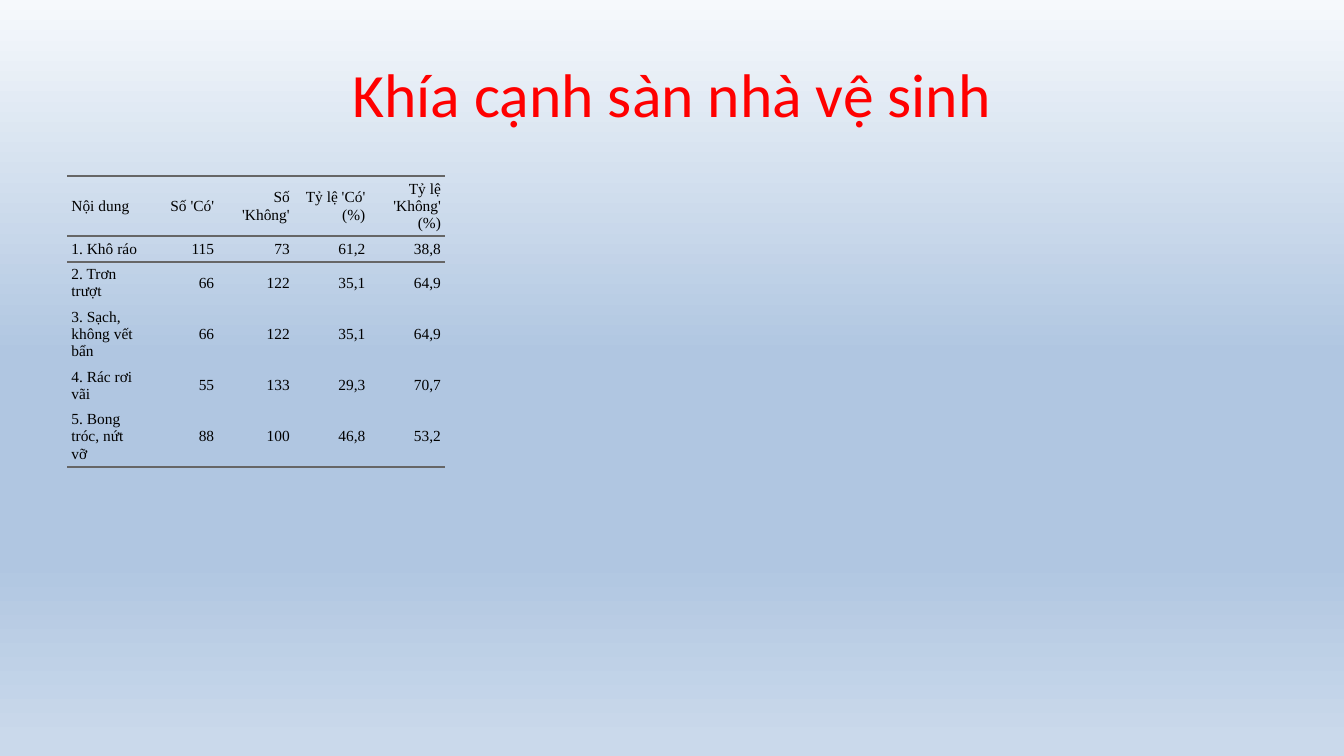
"""Build a survey slide with a title and a table about toilet floors."""
import copy

import lxml.etree
import pptx
import pptx.dml.color
import pptx.enum.text
import pptx.oxml.ns
import pptx.util

Pt = pptx.util.Pt
RGBColor = pptx.dml.color.RGBColor
ALIGN = pptx.enum.text.PP_ALIGN
MIDDLE = pptx.enum.text.MSO_ANCHOR.MIDDLE
qn = pptx.oxml.ns.qn

RED = RGBColor(0xFF, 0x00, 0x00)
BLACK = RGBColor(0x00, 0x00, 0x00)
GRAY = RGBColor(0x66, 0x66, 0x66)
PALE = RGBColor(0xF6, 0xF9, 0xFC)
BLUE = RGBColor(0xB0, 0xC6, 0xE1)
LIGHT_BLUE = RGBColor(0xCA, 0xD9, 0xEB)
BACKGROUND_STOPS = [(0, PALE), (0.47, BLUE), (0.74, BLUE), (0.98, LIGHT_BLUE)]
PLAIN_TABLE_STYLE = "{2D5ABB26-0587-4C30-8999-92F81FD0307C}"

FLOOR_ROWS = [
    ("Nội dung", "Số 'Có'", "Số 'Không'", "Tỷ lệ 'Có' (%)", "Tỷ lệ 'Không' (%)"),
    ("1. Khô ráo", "115", "73", "61,2", "38,8"),
    ("2. Trơn trượt", "66", "122", "35,1", "64,9"),
    ("3. Sạch, không vết bẩn", "66", "122", "35,1", "64,9"),
    ("4. Rác rơi vãi", "55", "133", "29,3", "70,7"),
    ("5. Bong tróc, nứt vỡ", "88", "100", "46,8", "53,2"),
]


class SurveySlide:
    """Hold the style and the current slide."""

    title_font, title_size = "Calibri", Pt(44)
    table_font, table_size = "Times New Roman", Pt(11)
    padding = Pt(3)
    rule_width = Pt(1.5)

    def __init__(self, deck):
        self.page = deck.slides.add_slide(deck.slide_layouts[5])

    def background(self, stops):
        fill = self.page.background.fill
        fill.gradient()
        fill.gradient_angle = 270
        stop_list = self.page.element.find(".//" + qn("a:gsLst"))
        while len(stop_list) < len(stops):
            stop_list.append(copy.deepcopy(stop_list[0]))
        for stop, (position, color) in zip(fill.gradient_stops, stops):
            stop.position = position
            stop.color.rgb = color

    def title(self, text, left, top, width, height):
        box = self.page.shapes.title
        box.left, box.top, box.width, box.height = left, top, width, height
        box.text_frame.text = text
        box.text_frame.vertical_anchor = MIDDLE
        para = box.text_frame.paragraphs[0]
        para.alignment = ALIGN.CENTER
        self.font(para, self.title_font, self.title_size, RED)

    def font(self, para, name, size, color):
        para.font.name = name
        para.font.size = size
        para.font.color.rgb = color

    def table(self, rows, left, top, width, height, column_width, row_height):
        frame = self.page.shapes.add_table(
            len(rows), len(rows[0]), left, top, width, height)
        table = frame.table
        table.first_row = table.horz_banding = False
        frame._element.find(".//" + qn("a:tableStyleId")).text = PLAIN_TABLE_STYLE
        for column in table.columns:
            column.width = column_width
        for row in table.rows:
            row.height = row_height
        frame.width, frame.height = width, height
        for row_number, row in enumerate(rows):
            edges = {0: ["a:lnT", "a:lnB"], 1: ["a:lnT"],
                     len(rows) - 1: ["a:lnB"]}.get(row_number, [])
            for column_number, text in enumerate(row):
                align = ALIGN.RIGHT if column_number else ALIGN.LEFT
                self.cell(table.cell(row_number, column_number), text, align, edges)

    def cell(self, cell, text, align, edges):
        cell.text = text
        cell.vertical_anchor = MIDDLE
        cell.margin_left = cell.margin_right = 0
        cell.margin_top = cell.margin_bottom = self.padding
        para = cell.text_frame.paragraphs[0]
        para.alignment = align
        para.space_before = para.space_after = self.padding
        properties = para._p.get_or_add_pPr()
        for name, value in (("marL", self.padding), ("marR", self.padding), ("indent", 0)):
            properties.set(name, str(int(value)))
        self.font(para, self.table_font, self.table_size, BLACK)
        for edge in edges:
            self.rule(cell, edge)
        cell.fill.background()

    def rule(self, cell, edge):
        line = lxml.etree.SubElement(
            cell._tc.get_or_add_tcPr(), qn(edge), w=str(int(self.rule_width)))
        fill = lxml.etree.SubElement(line, qn("a:solidFill"))
        lxml.etree.SubElement(fill, qn("a:srgbClr"), val=str(GRAY))


def main():
    deck = pptx.Presentation()
    deck.slide_width, deck.slide_height = Pt(960), Pt(540)
    slide = SurveySlide(deck)
    slide.background(BACKGROUND_STOPS)
    slide.title("Khía cạnh sàn nhà vệ sinh", Pt(48), Pt(21.6), Pt(864), Pt(90))
    slide.table(FLOOR_ROWS, Pt(48), Pt(126), Pt(864), Pt(356.4),
                column_width=Pt(54), row_height=Pt(18))
    deck.save("out.pptx")


if __name__ == "__main__":
    main()
